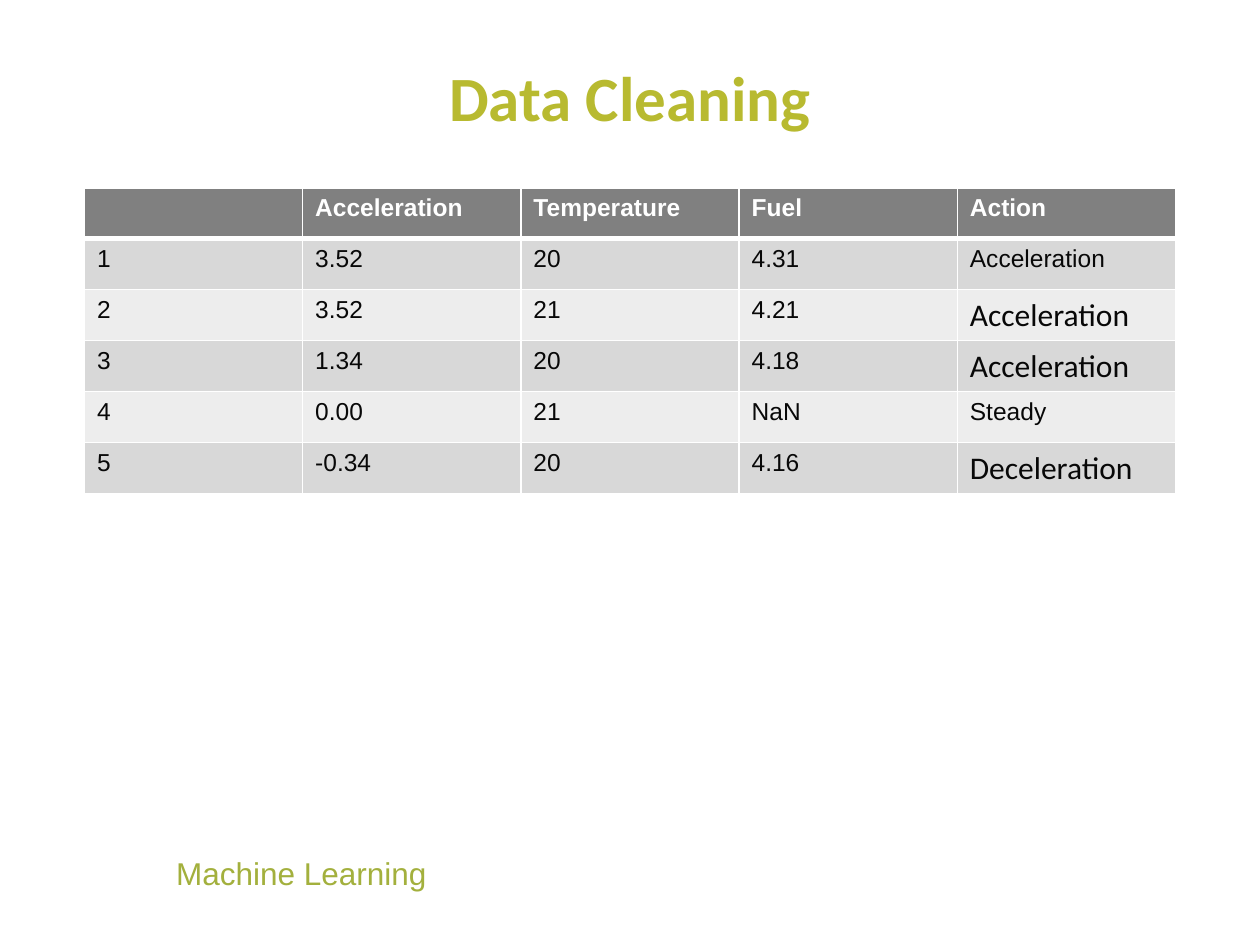
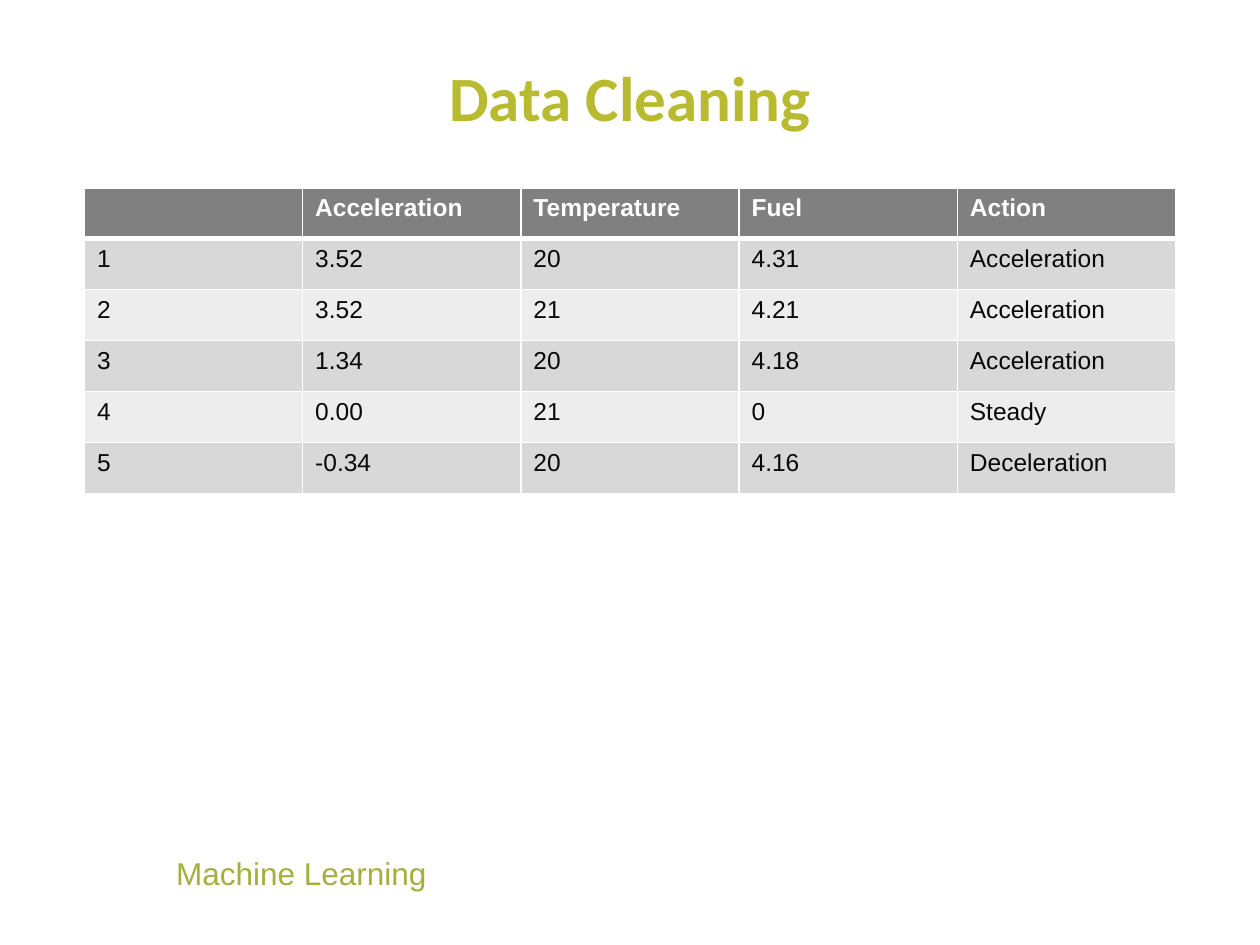
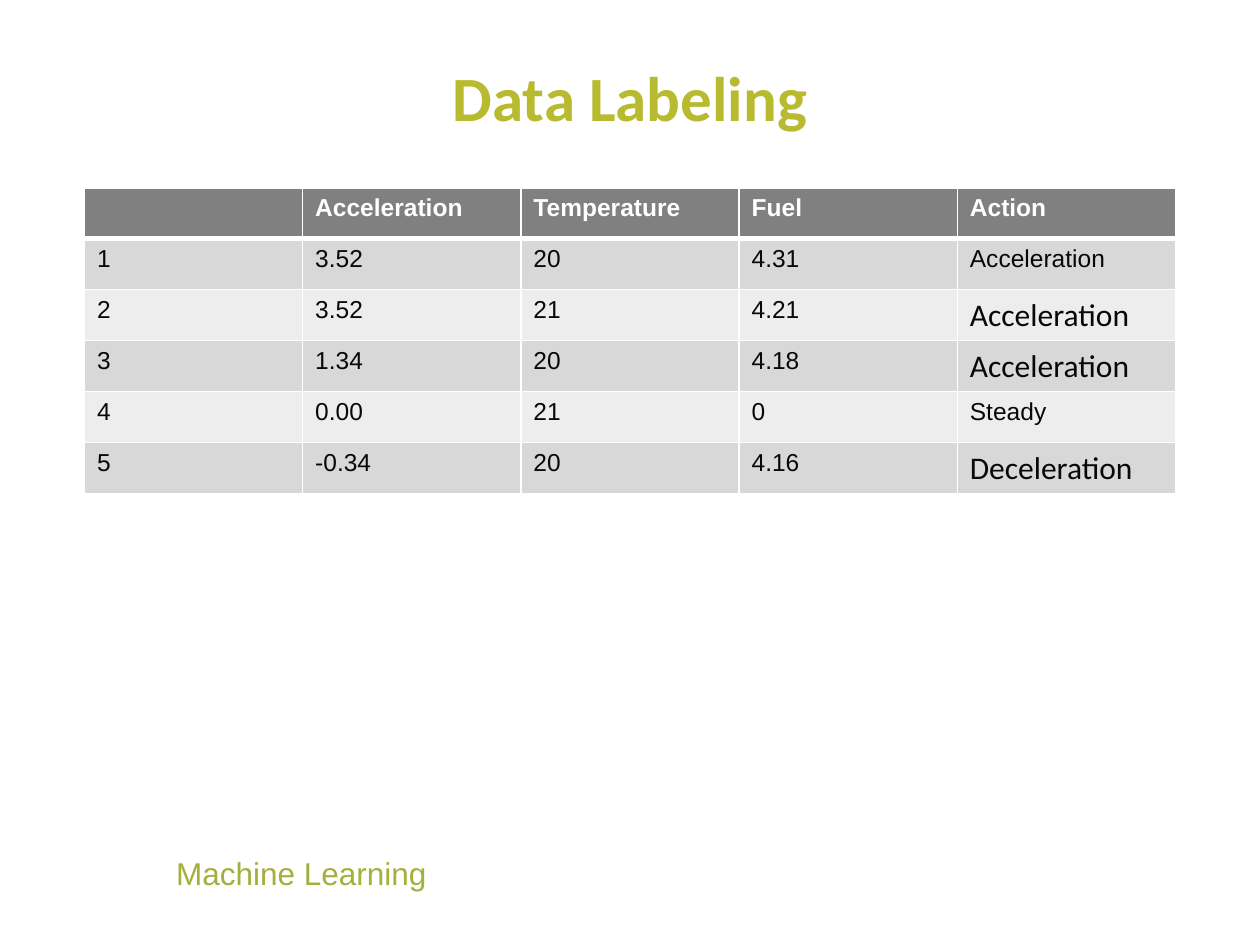
"""Build three slides on cleaning and labeling a small sensor data set."""
from lxml.etree import SubElement as Sub
from pptx import Presentation
from pptx.dml.color import RGBColor as RGB
from pptx.enum.text import MSO_ANCHOR as Anchor, MSO_AUTO_SIZE as Auto, PP_ALIGN as Align
from pptx.oxml.ns import qn
from pptx.util import Inches, Pt

FOOT = "Machine Learning"
HEAD = ("", "Acceleration", "Temperature", "Fuel", "Action")
ROWS = (
    ("1", "3.52", "20", "4.31", "Acceleration"),
    ("2", "3.52", "21", "4.21", "Acceleration"),
    ("3", "1.34", "20", "4.18", "Acceleration"),
    ("4", "0.00", "21", "{fuel}", "Steady"),
    ("5", "-0.34", "20", "4.16", "Deceleration"),
)
BIG = ("2", "3", "5")
SLIDES = (
    {"title": "Data Cleaning", "fuel": "NaN", "big": BIG},
    {"title": "Data Cleaning", "fuel": "0", "big": ()},
    {"title": "Data Labeling", "fuel": "0", "big": BIG},
)

LIME = RGB(0xB8, 0xBA, 0x30)
GREEN = RGB(0xA3, 0xB0, 0x3D)
WHITE = RGB(0xFF, 0xFF, 0xFF)
INK = RGB(0x08, 0x08, 0x08)
GRAY = RGB(0x80, 0x80, 0x80)
BANDS = (RGB(0xD8, 0xD8, 0xD8), RGB(0xED, 0xED, 0xED))
LEFT, WIDE = 0.67, 8.66
TOP, TALL = 1.49, 0.405


def add_run(para, text, size, face, color, bold=False):
    """Add one styled run to a paragraph."""
    run = para.add_run()
    run.text = text
    font = run.font
    font.size, font.name, font.bold = Pt(size), face, bold
    font.color.rgb = color


def add_box(slide, *place):
    """Add a text box and return its frame."""
    return slide.shapes.add_textbox(*map(Inches, place)).text_frame


def add_title(slide, text):
    """Add the centred slide title."""
    frame = add_box(slide, LEFT, 0.39, WIDE, 0.75)
    frame.word_wrap = True
    frame.vertical_anchor = Anchor.MIDDLE
    frame.margin_left = frame.margin_right = frame.margin_top = frame.margin_bottom = 0
    para = frame.paragraphs[0]
    para.alignment = Align.CENTER
    add_run(para, text, 36, "Calibri", LIME, True)


def add_foot(slide):
    """Add the shared footer."""
    frame = add_box(slide, 1.3, 6.73, 2.21, 0.4)
    frame.word_wrap = False
    frame.auto_size = Auto.SHAPE_TO_FIT_TEXT
    add_run(frame.paragraphs[0], FOOT, 18, "Arial", GREEN)


def set_edges(cell, row):
    """Draw white cell borders, thick under the header."""
    props = cell._tc.get_or_add_tcPr()
    thick = {"T": 3 if row == 1 else 1, "B": 3 if row == 0 else 1}
    for side in "LRTB":
        line = Sub(props, qn(f"a:ln{side}"), w=str(Pt(thick.get(side, 1))))
        fill = Sub(line, qn("a:solidFill"))
        Sub(fill, qn("a:srgbClr"), val=str(WHITE))


def add_grid(slide, fuel, big):
    """Add the data table."""
    rows = (HEAD, *ROWS)
    place = (LEFT, TOP, WIDE, TALL * len(rows))
    table = slide.shapes.add_table(len(rows), len(HEAD), *map(Inches, place)).table
    for r, row in enumerate(rows):
        for c, text in enumerate(row):
            cell = table.cell(r, c)
            set_edges(cell, r)
            cell.fill.solid()
            cell.fill.fore_color.rgb = BANDS[(r - 1) % 2] if r else GRAY
            if not text:
                continue
            last = c == len(HEAD) - 1
            size, face = (18, "Calibri") if last and row[0] in big else (14, "Arial")
            para = cell.text_frame.paragraphs[0]
            add_run(para, text.format(fuel=fuel), size, face, INK if r else WHITE, r == 0)


def main():
    """Build and save the deck."""
    deck = Presentation()
    deck.slide_width, deck.slide_height = Inches(10), Inches(7.5)
    for item in SLIDES:
        slide = deck.slides.add_slide(deck.slide_layouts[6])
        add_foot(slide)
        add_title(slide, item["title"])
        add_grid(slide, item["fuel"], item["big"])
    deck.save("out.pptx")


if __name__ == "__main__":
    main()
